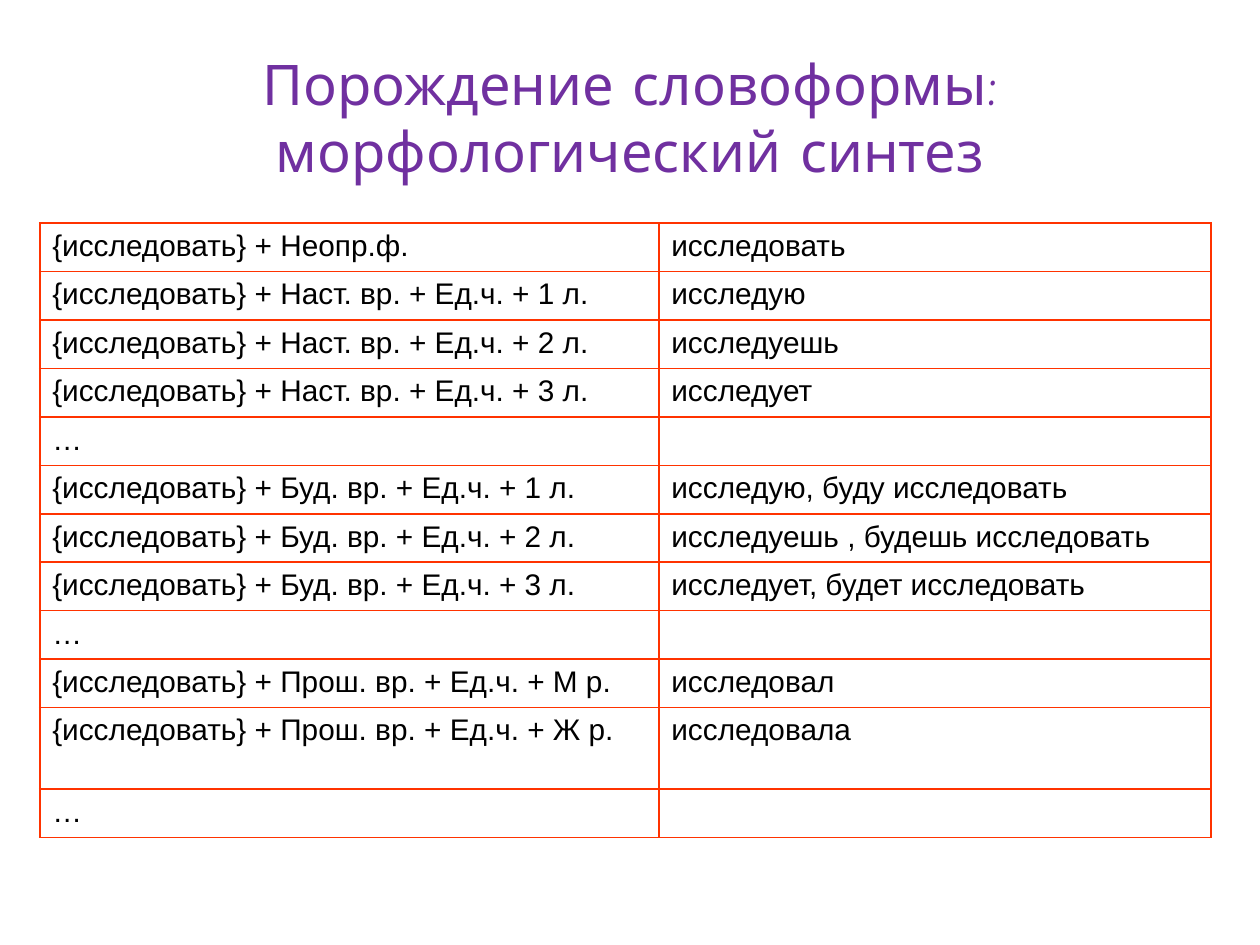
from lxml import etree
from pptx import Presentation
from pptx.dml.color import RGBColor
from pptx.enum.text import MSO_ANCHOR as Anchor, PP_ALIGN as Align
from pptx.oxml.ns import qn
from pptx.util import Cm, Pt

# Content
TITLE = ["Порождение словоформы:", "морфологический синтез"]
LEMMA = "{исследовать} + "
GAP = ("…", "")
FORMS = [
    ("Неопр.ф.", "исследовать"),
    ("Наст. вр. + Ед.ч. + 1 л.", "исследую"),
    ("Наст. вр. + Ед.ч. + 2 л.", "исследуешь"),
    ("Наст. вр. + Ед.ч. + 3 л.", "исследует"),
    GAP,
    ("Буд. вр. + Ед.ч. + 1 л.", "исследую, буду исследовать"),
    ("Буд. вр. + Ед.ч. + 2 л.", "исследуешь , будешь исследовать"),
    ("Буд. вр. + Ед.ч. + 3 л.", "исследует, будет исследовать"),
    GAP,
    ("Прош. вр. + Ед.ч. + М р.", "исследовал"),
    ("Прош. вр. + Ед.ч. + Ж р.", "исследовала"),
    GAP,
]

# Format
TITLE_FONT = {"name": "Comic Neue", "size": Pt(32), "bold": False}
CELL_FONT = {"name": "Arial", "size": Pt(17), "bold": False}
COL_WIDTHS = [12.48, 11.13]
ROW_HEIGHT = 0.96
SPECIAL_HEIGHTS = {2: 0.98, 3: 0.98, 10: 1.65}
BORDER = "FF3300"


def rgb(value):
    return RGBColor.from_string(value)


def set_font(font, values, color):
    for name, value in values.items():
        setattr(font, name, value)
    font.color.rgb = rgb(color)


def add_borders(cell, color, width):
    tc_pr = cell._tc.get_or_add_tcPr()
    for i, side in enumerate(("lnL", "lnR", "lnT", "lnB")):
        ln = etree.Element(qn(f"a:{side}"), w=str(Pt(width)))
        fill = etree.SubElement(ln, qn("a:solidFill"))
        etree.SubElement(fill, qn("a:srgbClr"), val=color)
        tc_pr.insert(i, ln)


prs = Presentation()
prs.slide_width, prs.slide_height = Cm(25.4), Cm(19.05)
s = prs.slides.add_slide(prs.slide_layouts[6])

# Title
tf = s.shapes.add_textbox(Cm(1.27), Cm(0.76), Cm(22.86), Cm(3.18)).text_frame
tf.word_wrap = True
tf.vertical_anchor = Anchor.MIDDLE
p = tf.paragraphs[0]
p.alignment = Align.CENTER
for i, line in enumerate(TITLE):
    if i:
        p.add_line_break()
    r = p.add_run()
    r.text = line
    set_font(r.font, TITLE_FONT, "7030A0")

# Table of word forms
heights = [SPECIAL_HEIGHTS.get(i, ROW_HEIGHT) for i in range(len(FORMS))]
table = s.shapes.add_table(len(FORMS), len(COL_WIDTHS), Cm(0.8), Cm(4.5),
                           Cm(sum(COL_WIDTHS)), Cm(sum(heights))).table
table.first_row = table.horz_banding = False
for col, width in zip(table.columns, COL_WIDTHS):
    col.width = Cm(width)

for row, height, form in zip(table.rows, heights, FORMS):
    row.height = Cm(height)
    tag, word = form
    texts = form if form == GAP else (LEMMA + tag, word)
    for cell, text in zip(row.cells, texts):
        cell.fill.background()
        add_borders(cell, BORDER, 1.08)
        p = cell.text_frame.paragraphs[0]
        p.space_before = Pt(4.2)
        if text:
            r = p.add_run()
            r.text = text
            set_font(r.font, CELL_FONT, "000000")
        else:  # keeps the empty cell as low as the others
            etree.SubElement(p._p, qn("a:endParaRPr"), sz="1700")

prs.save("out.pptx")
